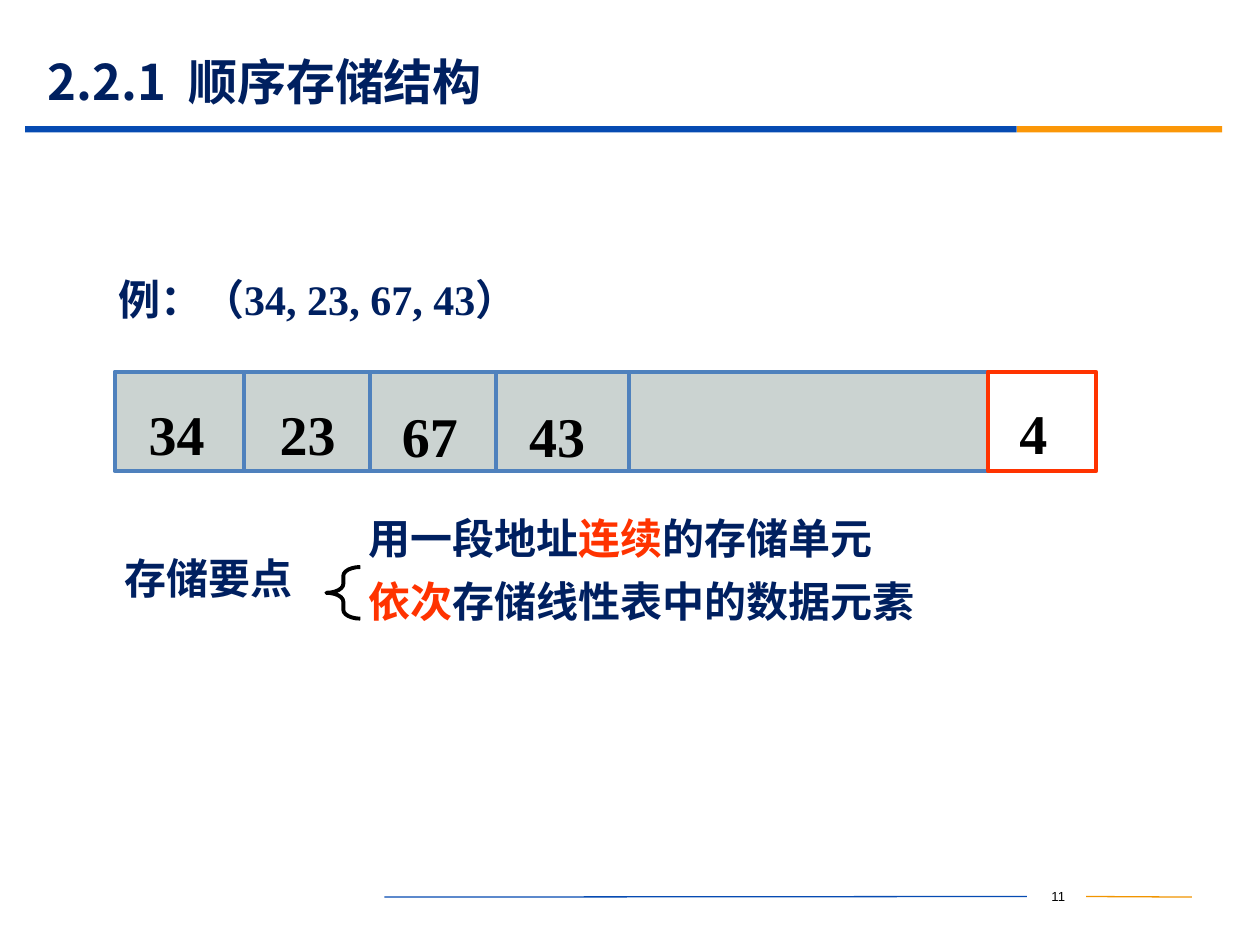
from dataclasses import dataclass
from lxml.etree import SubElement
from pptx import Presentation
from pptx.dml.color import RGBColor
from pptx.enum.shapes import MSO_CONNECTOR, MSO_SHAPE
from pptx.enum.text import MSO_ANCHOR, PP_ALIGN
from pptx.oxml.ns import qn
from pptx.util import Inches, Pt


@dataclass(frozen=True)
class Theme:
    navy: str = "002060"
    red: str = "FF3300"
    black: str = "000000"
    white: str = "FFFFFF"
    blue: str = "064BB2"
    gold: str = "FB9708"
    amber: str = "F19500"
    steel: str = "4F81BD"
    grey: str = "CBD3D1"
    hans: str = "Noto Sans CJK SC"
    serif: str = "Times New Roman"
    sans: str = "Arial"
    head: float = 28
    body: float = 24
    digit: float = 32
    foot: float = 7.5
    thick: float = 2.25
    thin: float = 0.75


T = Theme()

# Content; places are columns and rows of a 100 by 75 grid
TITLE = "2.2.1  顺序存储结构"
SAMPLE = "例：（34, 23, 67, 43）"
TOPIC = "存储要点"
POINTS = [
    [("用一段地址", T.navy), ("连续", T.red), ("的存储单元", T.navy)],
    [("依次", T.red), ("存储线性表中的数据元素", T.navy)],
]
# value, column and row of its text, right edge of its cell
CELLS = [
    ("34", 11.8, 31.2, 19.4),
    ("23", 22.2, 31.2, 29.4),
    ("67", 31.9, 31.4, 39.4),
    ("43", 42, 31.4, 49.9),
]
COUNT = " 4"
PAGE = " 11"
ROW = (9.1, 29.5, 69.3, 7.9)
BARS = [(2, 78.7, T.blue), (80.7, 16.3, T.gold)]

COLS, ROWS = 100, 75
deck = Presentation()
deck.slide_width, deck.slide_height = Inches(10), Inches(7.5)
slide = deck.slides.add_slide(deck.slide_layouts[6])
shapes = slide.shapes


def grid(x, y):
    return int(deck.slide_width * x / COLS), int(deck.slide_height * y / ROWS)


def block(kind, place, fill=None, edge=None):
    x, y, w, h = place
    box = shapes.add_shape(kind, *grid(x, y), *grid(w, h))
    box.shadow.inherit = False
    if fill:
        box.fill.solid()
        box.fill.fore_color.rgb = RGBColor.from_string(fill)
    else:
        box.fill.background()
    if edge:
        box.line.color.rgb = RGBColor.from_string(edge)
        box.line.width = Pt(T.thick)
    else:
        box.line.fill.background()
    return box


def rule(start, end, color, width):
    line = shapes.add_connector(MSO_CONNECTOR.STRAIGHT, *grid(*start), *grid(*end))
    line.line.color.rgb = RGBColor.from_string(color)
    line.line.width = Pt(width)
    SubElement(line._element.spPr, qn("a:effectLst"))
    return line


def write(box, paras, font, size, bold=True, pads=(1, 0.5, 1, 0.5),
          anchor=MSO_ANCHOR.TOP, align=PP_ALIGN.LEFT, lead=1, gap=0, wrap=True):
    """Fill box with paragraphs, each a list of (text, colour) runs."""
    frame = box.text_frame
    frame.word_wrap, frame.vertical_anchor = wrap, anchor
    frame.margin_left, frame.margin_top = grid(*pads[:2])
    frame.margin_right, frame.margin_bottom = grid(*pads[2:])
    for i, runs in enumerate(paras):
        para = frame.add_paragraph() if i else frame.paragraphs[0]
        para.alignment, para.line_spacing = align, lead
        para.space_before = Pt(gap if i else 0)
        for text, color in runs:
            run = para.add_run()
            run.text = text
            run.font.name, run.font.size, run.font.bold = font, Pt(size), bold
            run.font.color.rgb = RGBColor.from_string(color)
            east = SubElement(run._r.get_or_add_rPr(), qn("a:ea"))
            east.set("typeface", T.hans)


def label(place, paras, font, size, **style):
    x, y, w, h = place
    box = shapes.add_textbox(*grid(x, y), *grid(w, h))
    write(box, paras, font, size, **style)
    return box


# Frame of the slide
page = label((81.5, 69.9, 4.7, 2.5), [[(PAGE, T.black)]], T.sans, T.foot,
             bold=False, align=PP_ALIGN.CENTER, anchor=MSO_ANCHOR.MIDDLE)
rule((86.2, 71.2), (94.6, 71.2), T.amber, T.thin).begin_connect(page, 3)
rule((30.5, 71.2), (81.5, 71.2), T.blue, T.thin).end_connect(page, 1)
for left, width, color in BARS:
    block(MSO_SHAPE.RECTANGLE, (left, 10, width, 0.5), color)
label((2.8, 4.3, 90, 4.3), [[(TITLE, T.navy)]], T.hans, T.head,
      anchor=MSO_ANCHOR.MIDDLE)

# Storage row
block(MSO_SHAPE.RECTANGLE, ROW, T.grey, T.steel)
top, base = ROW[1], ROW[1] + ROW[3]
for value, x, y, edge in CELLS:
    rule((edge, top), (edge, base), T.steel, T.thick)
    label((x, y, 5.4, 6), [[(value, T.black)]], T.serif, T.digit,
          pads=(0, 0.5, 0, 0.5))
count = block(MSO_SHAPE.RECTANGLE, (ROW[0] + ROW[2], top, 8.6, ROW[3]), T.white, T.red)
write(count, [[(COUNT, T.black)]], T.serif, T.digit, pads=(1.4, 2.1, 1, 0.7))

# Key points
label((8.9, 43.8, 15.5, 5.1), [[(TOPIC, T.navy)]], T.hans, T.body,
      lead=0.9, wrap=False)
brace = block(MSO_SHAPE.LEFT_BRACE, (25.9, 45, 2.7, 4.1), edge=T.black)
brace.adjustments[0], brace.adjustments[1] = 0.26, 0.5
label((28.3, 40.6, 64.1, 10.9), POINTS, T.hans, T.body, lead=0.9, gap=10.4)
label((8.4, 21.7, 54, 5), [[(SAMPLE, T.navy)]], T.serif, T.body,
      pads=(1, 0.5, 0, 0.5), lead=0.9)

deck.save("out.pptx")
